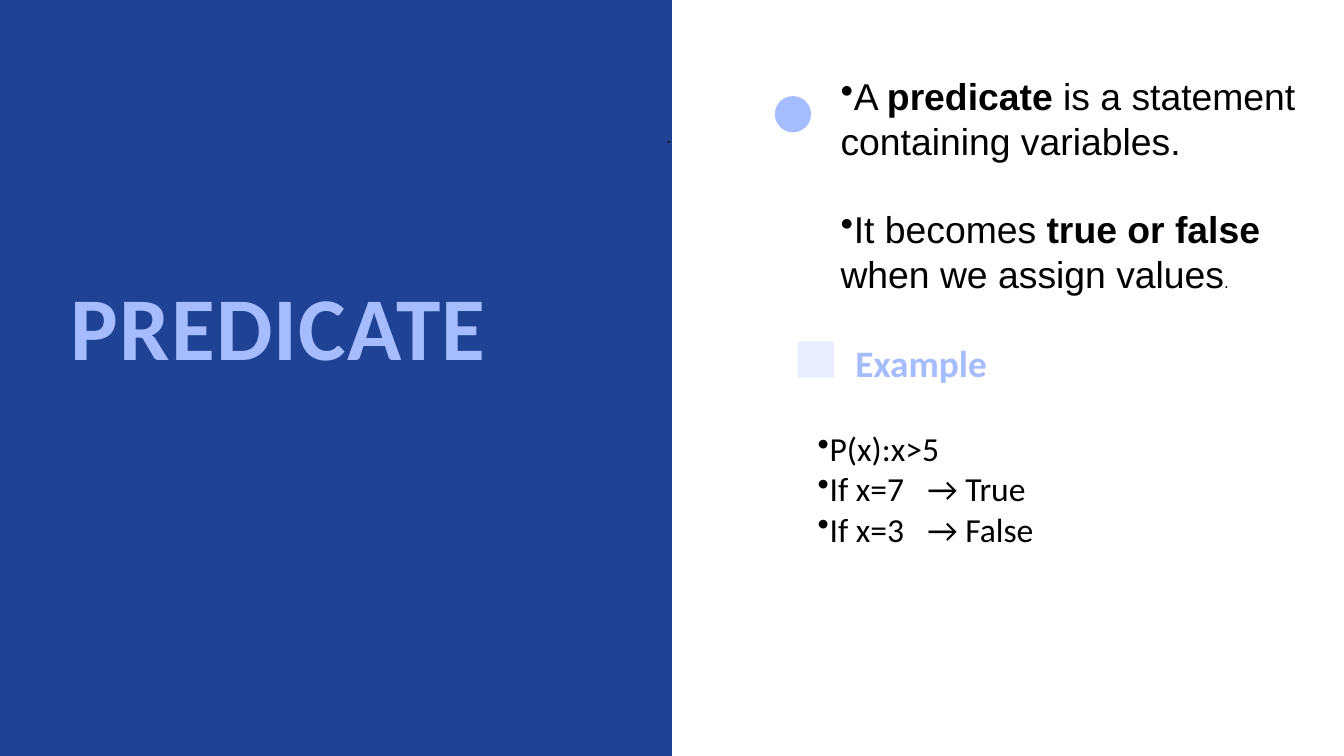
import pptx
import pptx.util
import pptx.dml.color
import pptx.enum.shapes
import pptx.enum.text
import pptx.oxml.ns
import lxml.etree
from dataclasses import dataclass

Inches, Pt = pptx.util.Inches, pptx.util.Pt
SHAPE = pptx.enum.shapes.MSO_SHAPE
ANCHOR = pptx.enum.text.MSO_ANCHOR


@dataclass(frozen=True)
class Theme:
    navy: str = "204295"
    sky: str = "A5BDFF"
    pale: str = "E8EEFF"
    ink: str = "000000"
    heading_font: str = "Calibri"
    body_font: str = "Arial"
    title: int = 96
    body: int = 40
    example: int = 36
    small: int = 18


class Builder:
    def __init__(self, slide, theme):
        self.s = slide
        self.theme = theme

    def shape(self, kind, box, color):
        sp = self.s.shapes.add_shape(kind, *map(Inches, box))
        sp.shadow.inherit = False
        sp.fill.solid()
        sp.fill.fore_color.rgb = pptx.dml.color.RGBColor.from_string(color)
        sp.line.fill.background()

    def text_box(self, box, anchor=ANCHOR.TOP, inset=True, wrap=True):
        tf = self.s.shapes.add_textbox(*map(Inches, box)).text_frame
        tf.word_wrap = wrap
        tf.vertical_anchor = anchor
        if not inset:
            tf.margin_left = tf.margin_right = 0
            tf.margin_top = tf.margin_bottom = 0
        return tf

    def run(self, p, text, font, size, color, bold=False):
        r = p.add_run()
        r.text = text
        r.font.name = font
        r.font.size = Pt(size)
        r.font.bold = bold
        r.font.color.rgb = pptx.dml.color.RGBColor.from_string(color)
        return r

    def heading(self, box, text, size, line_spacing):
        p = self.text_box(box, inset=False).paragraphs[0]
        p.line_spacing = Pt(line_spacing)
        return self.run(p, text, self.theme.heading_font, size,
                        self.theme.sky, True)

    def bullets(self, box, items, font, size, anchor=ANCHOR.TOP, gap=0,
                tab=None):
        """Each item is a list of (text, bold, size or None) runs."""
        tf = self.text_box(box, anchor)
        for i, item in enumerate(items):
            p = tf.paragraphs[0] if i == 0 else tf.add_paragraph()
            if i:
                p.space_before = Pt(gap)
            for text, bold, own_size in item:
                self.run(p, text, font, own_size or size, self.theme.ink, bold)
            self.bullet_format(p, tab)

    def bullet_format(self, p, tab):
        qn = pptx.oxml.ns.qn
        pPr = p._p.get_or_add_pPr()
        lxml.etree.SubElement(pPr, qn("a:buChar"), char="•")
        if tab:
            tabs = lxml.etree.SubElement(pPr, qn("a:tabLst"))
            lxml.etree.SubElement(tabs, qn("a:tab"),
                                  pos=str(Inches(tab)), algn="l")


def main():
    prs = pptx.Presentation()
    prs.slide_width, prs.slide_height = Inches(20), Inches(11.25)
    theme = Theme()
    b = Builder(prs.slides.add_slide(prs.slide_layouts[6]), theme)

    # Markers and left panel
    b.shape(SHAPE.OVAL, (11.53, 1.43, 0.54, 0.54), theme.sky)
    b.shape(SHAPE.RECTANGLE, (11.87, 5.08, 0.54, 0.54), theme.pale)
    b.shape(SHAPE.RECTANGLE, (0, 0, 10, 11.25), theme.navy)

    # Headings
    title = b.heading((1.05, 4.43, 7.51, 1.29), "PREDICATE", theme.title, 86.4)
    title.font._element.set("spc", "140")
    b.heading((12.73, 5.26, 5.76, 0.52), "Example", theme.body, 33.6)

    # Small dot at the panel edge
    tf = b.text_box((9.75, 1.83, 0.34, 0.4), ANCHOR.MIDDLE, wrap=False)
    b.run(tf.paragraphs[0], " .", theme.body_font, theme.small, theme.ink)

    # Definition
    b.bullets(
        (12.41, 1.01, 7.62, 3.47),
        [
            [("A ", False, None), ("predicate", True, None),
             (" is a statement containing variables.", False, None)],
            [("It becomes ", False, None), ("true or false", True, None),
             (" when we assign values", False, None),
             (".", False, theme.small)],
        ],
        theme.body_font, theme.body, ANCHOR.MIDDLE, gap=46)

    # Example
    lines = ("P(x):x>5", "If x=7\t→ True", "If x=3\t→ False")
    b.bullets((12.07, 6.32, 4.85, 2.52),
              [[(line, False, None)] for line in lines],
              theme.heading_font, theme.example, tab=1.63)

    prs.save("out.pptx")


if __name__ == "__main__":
    main()
